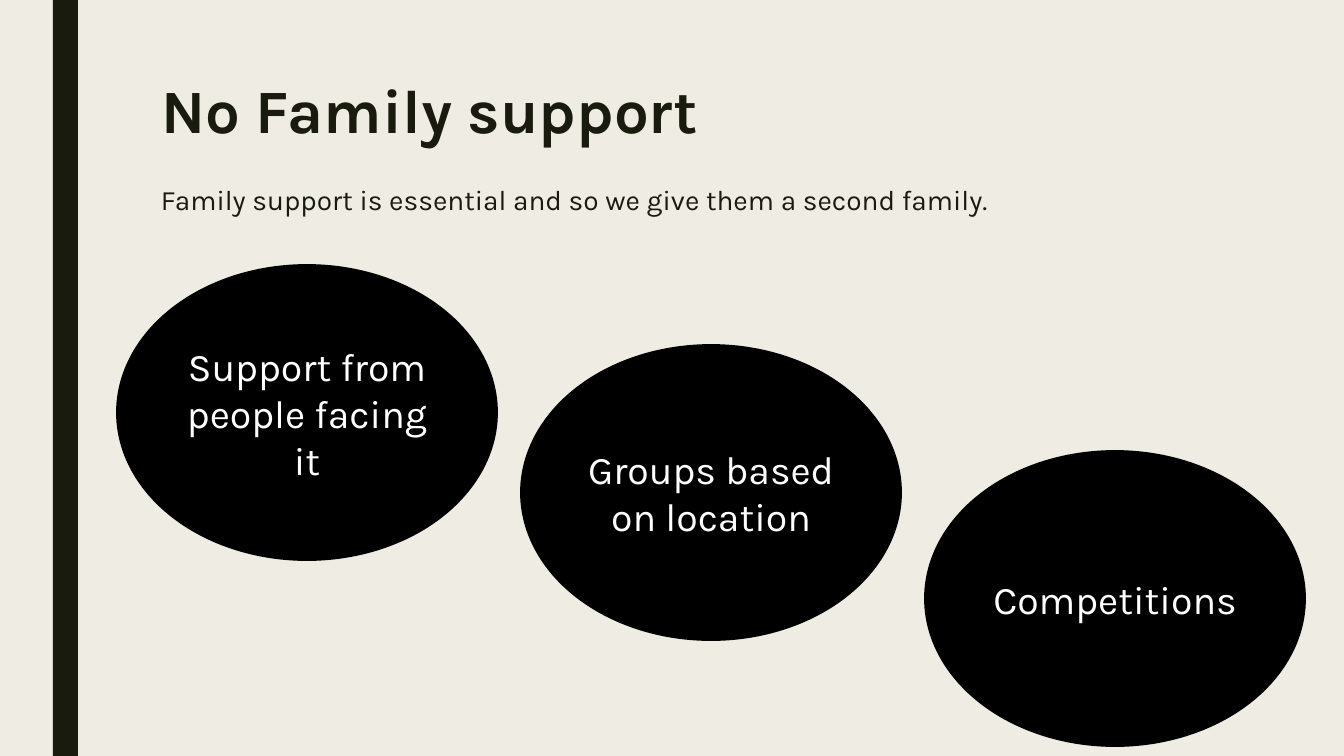
from pptx import Presentation
from pptx.dml.color import RGBColor
from pptx.enum.shapes import MSO_SHAPE
from pptx.enum.text import MSO_ANCHOR, MSO_AUTO_SIZE, PP_ALIGN
from pptx.util import Pt

RECT, OVAL = MSO_SHAPE.RECTANGLE, MSO_SHAPE.OVAL
TOP, MIDDLE = MSO_ANCHOR.TOP, MSO_ANCHOR.MIDDLE
LEFT, CENTER = PP_ALIGN.LEFT, PP_ALIGN.CENTER
NO_FIT = MSO_AUTO_SIZE.NONE

SCALE = 9071.43  # EMU per pixel at 100.8 pixels to the inch
TITLE_ONLY = 5
FONT = "Karla"
COLORS = {"background": "EFEDE3", "ink": "191B0E", "oval": "000000", "light": "FFFFFF"}

OVAL_LEFT, OVAL_STEP = 118, 404
OVAL_WIDTH, OVAL_HEIGHT = 378, 293
OVALS = [
    (266, "Support from people facing it"),
    (346, "Groups based on location"),
    (452, "Competitions"),
]


def px(n):
    """Turn pixels into EMU."""
    return round(n * SCALE)


def rgb(name):
    """Look up a named colour."""
    return RGBColor.from_string(COLORS[name])


def set_text(shape, text, size, color, align=LEFT, anchor=TOP, bold=False):
    """Write one formatted paragraph and return it."""
    tf = shape.text_frame
    tf.word_wrap = True
    tf.auto_size = NO_FIT
    tf.vertical_anchor = anchor
    p = tf.paragraphs[0]
    p.text = text
    p.alignment = align
    p.font.name = FONT
    p.font.size = Pt(size)
    p.font.bold = bold
    p.font.color.rgb = rgb(color)
    return p


def add_filled(s, kind, x, y, w, h, color):
    """Add a flat filled shape without an outline."""
    sp = s.shapes.add_shape(kind, px(x), px(y), px(w), px(h))
    sp.shadow.inherit = False
    sp.fill.solid()
    sp.fill.fore_color.rgb = rgb(color)
    sp.line.fill.background()
    return sp


def add_title(s, text):
    """Place and format the title placeholder."""
    title = s.shapes.title
    title.left, title.top, title.width, title.height = map(px, (151, 76, 1058, 163))
    set_text(title, text, 44, "ink", bold=True).line_spacing = 0.89


def add_subtitle(s, text):
    """Add the sentence below the title."""
    box = s.shapes.add_textbox(px(151), px(180), px(1058), px(59))
    p = set_text(box, text, 20, "ink")
    p.line_spacing = 0.94
    p.space_before, p.space_after = Pt(10), Pt(2)


def add_oval(s, x, y, text):
    """Add an outlined oval with centred text."""
    sp = add_filled(s, OVAL, x, y, OVAL_WIDTH, OVAL_HEIGHT, "oval")
    sp.line.color.rgb = rgb("oval")
    sp.line.width = Pt(2.75)
    set_text(sp, text, 28, "light", CENTER, MIDDLE)


def main():
    """Build and save the slide."""
    prs = Presentation()
    prs.slide_width, prs.slide_height = px(1344), px(756)
    s = prs.slides.add_slide(prs.slide_layouts[TITLE_ONLY])
    s.background.fill.solid()
    s.background.fill.fore_color.rgb = rgb("background")

    add_filled(s, RECT, 53, 0, 25, 756, "ink")
    add_title(s, "No Family support")
    add_subtitle(s, "Family support is essential and so we give them a second family.")
    for i, (top, text) in enumerate(OVALS):
        add_oval(s, OVAL_LEFT + i * OVAL_STEP, top, text)

    prs.save("out.pptx")


main()
